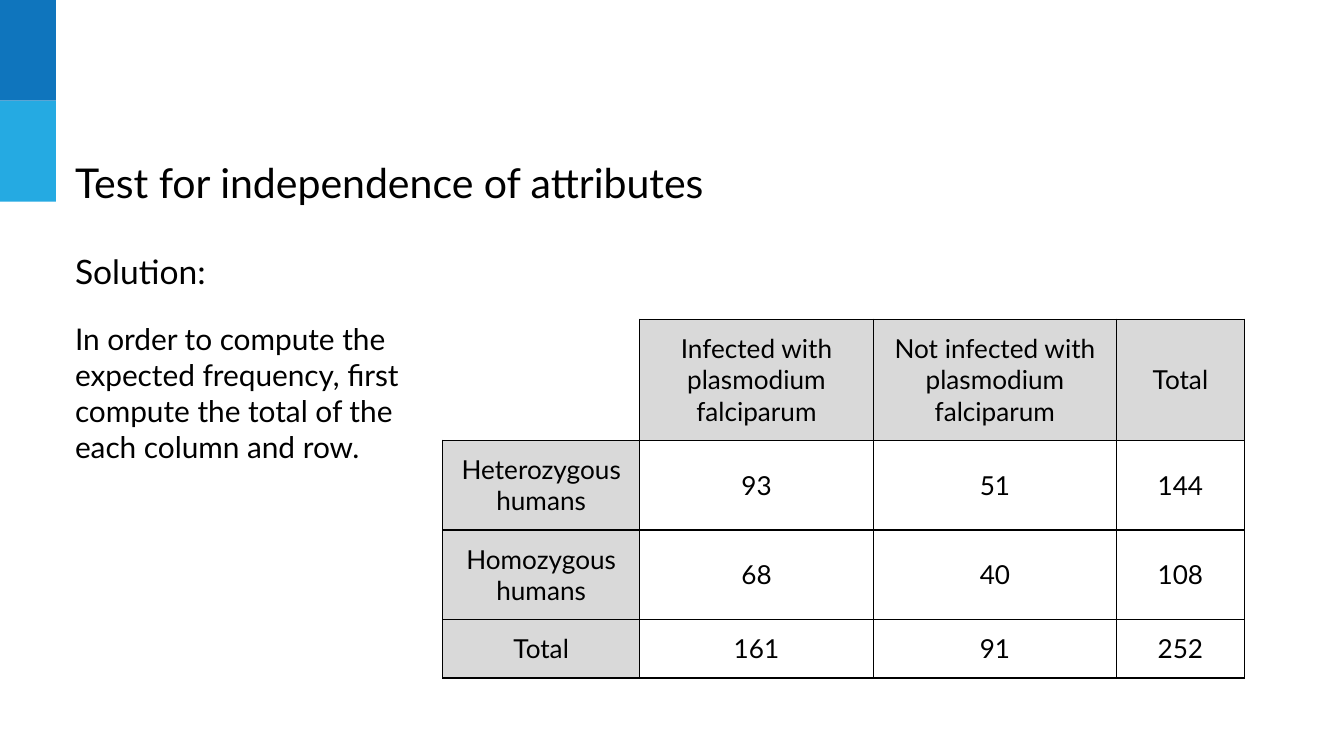
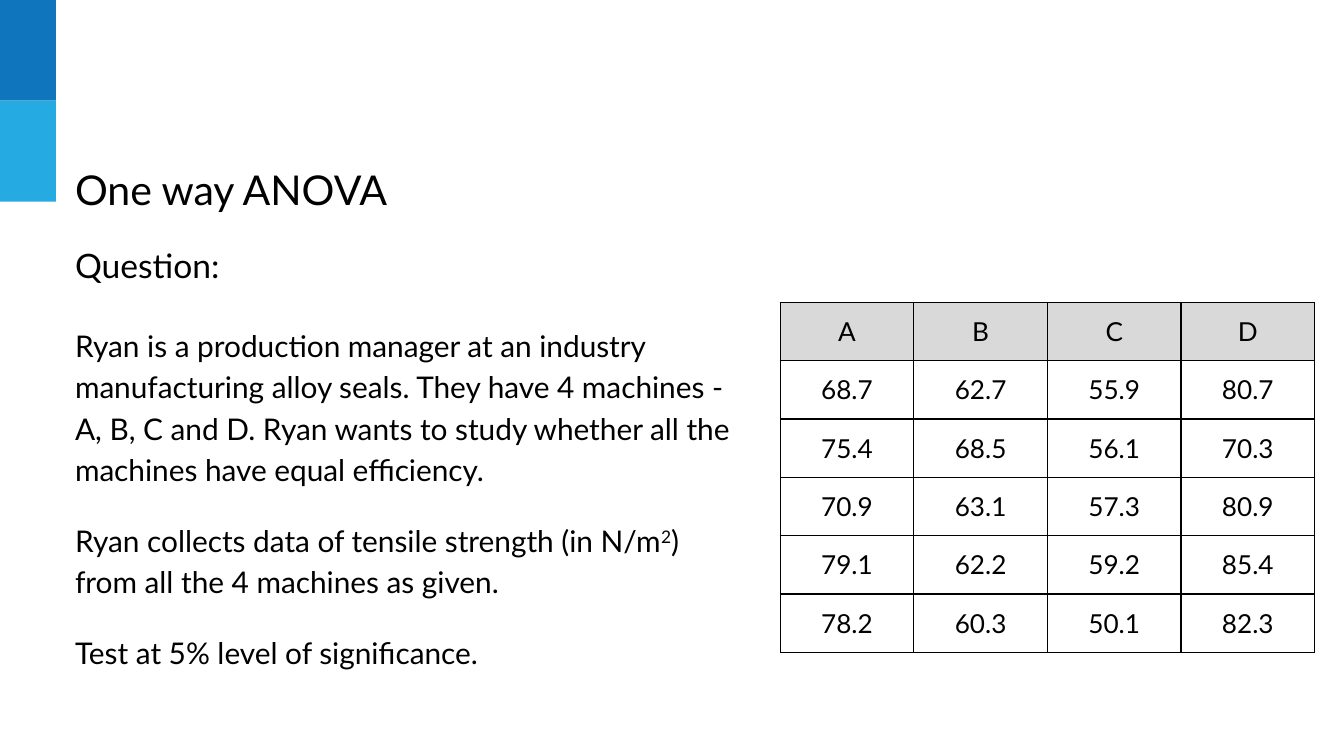
from lxml.etree import SubElement
from pptx import Presentation
from pptx.dml.color import RGBColor
from pptx.enum.shapes import MSO_SHAPE
from pptx.enum.text import MSO_ANCHOR, MSO_AUTO_SIZE, PP_ALIGN
from pptx.oxml.ns import qn
from pptx.util import Pt

BLACK = RGBColor(0x00, 0x00, 0x00)
GREY = RGBColor(0xD9, 0xD9, 0xD9)
DARK_BLUE = RGBColor(0x0F, 0x75, 0xBD)
LIGHT_BLUE = RGBColor(0x25, 0xAA, 0xE2)
FONT = "Lato"
INSET = Pt(7.2)
ROW_HEIGHT = 31


def write(frame, text, size, align=PP_ALIGN.LEFT, line=1.0, before=0, after=0):
    paragraph = frame.paragraphs[0]
    if paragraph.runs:
        paragraph = frame.add_paragraph()
    properties = paragraph._p.get_or_add_pPr()
    properties.set("marL", "0")
    properties.set("indent", "0")
    SubElement(properties, qn("a:buNone"))
    paragraph.alignment = align
    paragraph.line_spacing = line
    paragraph.space_before = Pt(before)
    paragraph.space_after = Pt(after)
    for index, piece in enumerate(text.split("^")):
        run = paragraph.add_run()
        run.text = piece
        run.font.name = FONT
        run.font.size = Pt(size)
        run.font.color.rgb = BLACK
        if index % 2:
            run._r.get_or_add_rPr().set("baseline", "30000")


def add_border(cell, edge, visible):
    border = SubElement(cell._tc.get_or_add_tcPr(), qn(f"a:{edge}"), w=str(Pt(0.75)))
    if visible:
        fill = SubElement(border, qn("a:solidFill"))
        SubElement(fill, qn("a:srgbClr"), val=str(BLACK))
    else:
        SubElement(border, qn("a:noFill"))


lessons = [
    {
        "title": ("Test for independence of attributes", {}),
        "body_size": (207, 265),
        "body": [
            ("Solution:", 18, {"line": 1.15}),
            ("In order to compute the expected frequency, first compute the total "
             "of the each column and row.", 16, {"before": 16}),
        ],
        "table_at": (237.2, 171),
        "columns": [105.5, 125.25, 130.25, 68.5],
        "row_headings": True,
        "rows": [
            ["", "Infected with plasmodium falciparum",
             "Not infected with plasmodium falciparum", "Total"],
            ["Heterozygous humans", "93", "51", "144"],
            ["Homozygous humans", "68", "40", "108"],
            ["Total", "161", "91", "252"],
        ],
    },
    {
        "title": ("One way ANOVA", {"line": 1.15, "after": 16}),
        "body_size": (369.5, 232),
        "body": [
            ("Question:", 18, {}),
            ("Ryan is a production manager at an industry manufacturing alloy seals. "
             "They have 4 machines - A, B, C and D. Ryan wants to study whether all "
             "the machines have equal efficiency.", 16, {"line": 1.15, "before": 20}),
            ("Ryan collects data of tensile strength (in N/m^2^) from all the "
             "4 machines as given.", 16, {"line": 1.15, "before": 16}),
            ("Test at 5% level of significance.", 16,
             {"line": 1.15, "before": 16, "after": 16}),
        ],
        "table_at": (418, 162),
        "columns": [71.6] * 4,
        "row_headings": False,
        "rows": [
            ["A", "B", "C", "D"],
            ["68.7", "62.7", "55.9", "80.7"],
            ["75.4", "68.5", "56.1", "70.3"],
            ["70.9", "63.1", "57.3", "80.9"],
            ["79.1", "62.2", "59.2", "85.4"],
            ["78.2", "60.3", "50.1", "82.3"],
        ],
    },
]

deck = Presentation()
deck.slide_width = Pt(720)
deck.slide_height = Pt(405)
layout = deck.slide_layouts[1]
slides = [deck.slides.add_slide(layout) for lesson in lessons]

for index, color in enumerate([DARK_BLUE, LIGHT_BLUE]):
    band = slides[0].shapes.add_shape(
        MSO_SHAPE.RECTANGLE, 0, Pt(54 * index), Pt(30), Pt(54))
    band.shadow.inherit = False
    band.fill.solid()
    band.fill.fore_color.rgb = color
    band.line.fill.background()
    layout.shapes.element.insert(2 + index, band.element)

for slide, lesson in zip(slides, lessons):
    title, body = slide.placeholders
    for holder, top, (width, height) in [
        (title, 77, (420.5, 31)),
        (body, 124, lesson["body_size"]),
    ]:
        holder.left, holder.top = Pt(33), Pt(top)
        holder.width, holder.height = Pt(width), Pt(height)
        frame = holder.text_frame
        frame.word_wrap = True
        frame.auto_size = MSO_AUTO_SIZE.NONE
        frame.vertical_anchor = MSO_ANCHOR.TOP
        frame.margin_left = frame.margin_right = INSET
        frame.margin_top = frame.margin_bottom = INSET

    heading, heading_format = lesson["title"]
    write(title.text_frame, heading, 22, **heading_format)
    for text, size, text_format in lesson["body"]:
        write(body.text_frame, text, size, **text_format)

    rows, columns = lesson["rows"], lesson["columns"]
    left, top = lesson["table_at"]
    table = slide.shapes.add_table(
        len(rows), len(columns), Pt(left), Pt(top),
        Pt(sum(columns)), Pt(ROW_HEIGHT * len(rows))).table
    table.first_row = False
    table.horz_banding = False
    for column, width in zip(table.columns, columns):
        column.width = Pt(width)

    for row_index, row in enumerate(rows):
        for column_index, value in enumerate(row):
            cell = table.cell(row_index, column_index)
            cell.vertical_anchor = MSO_ANCHOR.MIDDLE
            cell.margin_left = cell.margin_right = INSET
            cell.margin_top = cell.margin_bottom = INSET
            for edge in ("lnL", "lnR", "lnT", "lnB"):
                add_border(cell, edge, bool(value) or edge in ("lnR", "lnB"))
            is_heading = row_index == 0 or (lesson["row_headings"] and column_index == 0)
            if value and is_heading:
                cell.fill.solid()
                cell.fill.fore_color.rgb = GREY
            else:
                cell.fill.background()
            if value:
                write(cell.text_frame, value, 14, align=PP_ALIGN.CENTER)

deck.save("out.pptx")
